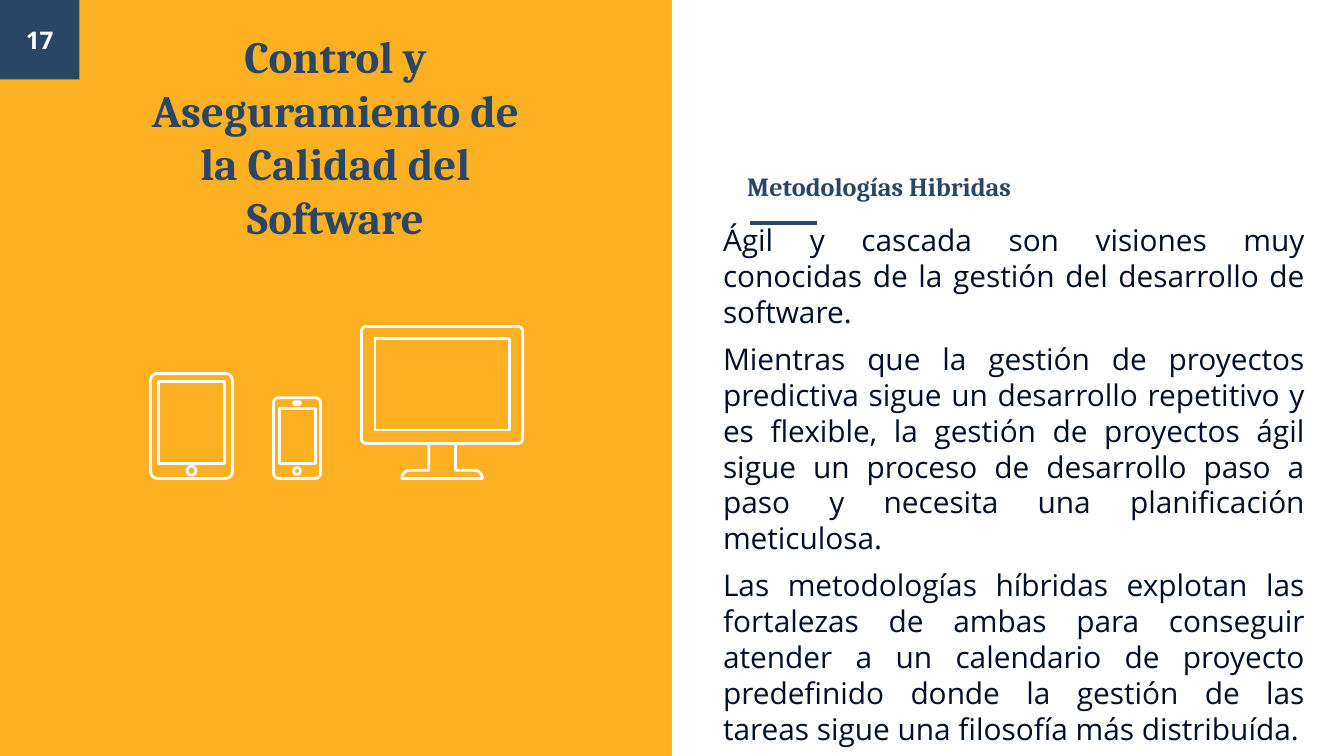
from math import cos, pi, sin

from lxml.etree import SubElement
from pptx import Presentation
from pptx.dml.color import RGBColor
from pptx.enum.shapes import MSO_CONNECTOR, MSO_SHAPE
from pptx.enum.text import MSO_ANCHOR, MSO_AUTO_SIZE, PP_ALIGN
from pptx.oxml.ns import qn
from pptx.util import Inches, Pt

HUES = {"base": "FFB424", "gold": "FDB021", "navy": "294667",
        "ink": "021028", "white": "FFFFFF"}
HEAD = "Control y Aseguramiento de la Calidad del Software"
TITLE = "Metodologías Hibridas"
BODY = [
    "Ágil y cascada son visiones muy conocidas de la gestión del desarrollo "
    "de software.",
    "Mientras que la gestión de proyectos predictiva sigue un desarrollo "
    "repetitivo y es flexible, la gestión de proyectos ágil sigue un proceso "
    "de desarrollo paso a paso y necesita una planificación meticulosa.",
    "Las metodologías híbridas explotan las fortalezas de ambas para conseguir "
    "atender a un calendario de proyecto predefinido donde la gestión de las "
    "tareas sigue una filosofía más distribuída.",
]


def hue(name):
    """Return a named colour."""
    return RGBColor.from_string(HUES[name])


def part(box, x, y, w, h):
    """Return the box at the given shares of another box."""
    left, top, wide, high = box
    return (int(left + x * wide), int(top + y * high),
            int(w * wide), int(h * high))


def style(para, size, face, tone, bold, align):
    """Set the font and alignment of a paragraph."""
    font = para.font
    font.size, font.name, font.bold = Pt(size), face, bold
    font.color.rgb = hue(tone)
    para.alignment = align


def frame(shape, anchor):
    """Set wrapping, margins and anchor, and return the text frame."""
    text = shape.text_frame
    text.word_wrap = True
    text.auto_size = MSO_AUTO_SIZE.NONE
    text.vertical_anchor = anchor
    text.margin_left = text.margin_right = Inches(0.1)
    text.margin_top = text.margin_bottom = Inches(0.1)
    return text


def place(shape, box):
    """Move a shape into a box."""
    shape.left, shape.top, shape.width, shape.height = box


def block(slide, box, tone):
    """Draw a plain filled rectangle."""
    shape = slide.shapes.add_shape(MSO_SHAPE.RECTANGLE, *box)
    shape.shadow.inherit = False
    shape.fill.solid()
    shape.fill.fore_color.rgb = hue(tone)
    shape.line.fill.background()
    return shape


def arc(x, y, r, start):
    """Return points of a clockwise quarter turn about a centre."""
    turns = [(start + step / 6) * pi / 2 for step in range(7)]
    return [(x + r * cos(turn), y + r * sin(turn)) for turn in turns]


def ring(x, y, w, h, r=0):
    """Return the outline of a rectangle with round corners."""
    mids = [(x + w - r, y + h - r), (x + r, y + h - r),
            (x + r, y + r), (x + w - r, y + r)]
    return [spot for turn, (a, b) in enumerate(mids)
            for spot in (arc(a, b, r, turn) if r else [(a, b)])]


def draw(group, box, loops, close=True):
    """Draw white outlines on a grid of 2770 columns."""
    first, *rest = loops
    pen = group.shapes.build_freeform(*first[0], scale=box[2] / 2770)
    pen.add_line_segments(first[1:], close=close)
    for loop in rest:
        pen.move_to(*loop[0])
        pen.add_line_segments(loop[1:], close=close)
    shape = pen.convert_to_shape(box[0], box[1])
    shape.shadow.inherit = False
    shape.fill.background()
    shape.line.color.rgb = hue("white")
    shape.line.width = Pt(1.5)


def icons(slide, box):
    """Draw the tablet, phone and screen."""
    group = slide.shapes.add_group_shape()
    draw(group, box, [ring(0, 350, 610, 780, 50), ring(60, 410, 490, 610),
                      ring(272, 1040, 66, 66, 33)])
    draw(group, box, [ring(915, 530, 350, 600, 40), ring(960, 610, 270, 410),
                      ring(1065, 560, 50, 20, 10), ring(1065, 1050, 50, 50, 25)])
    half = [(100, 880), (100, 1070), *arc(240, 1130, 60, 3), (290, 1130)]
    left = [(2170 - x, y) for x, y in half]
    right = [(2170 + x, y) for x, y in reversed(half)]
    draw(group, box, [left + right], close=False)
    draw(group, box, [ring(1570, 0, 1200, 870, 35), ring(1670, 90, 1000, 680)])


def cover(slide, box):
    """Build the gold side with its number, heading and icons."""
    block(slide, box, "base")
    block(slide, part(box, 0, 0.1, 0.998, 0.9), "gold")
    block(slide, part(box, 0.118, 0, 0.878, 0.126), "gold")
    badge = block(slide, part(box, 0, 0, 0.118, 0.105), "navy")
    text = frame(badge, MSO_ANCHOR.MIDDLE)
    text.text = "17"
    style(text.paragraphs[0], 13, "Open Sans", "white", True, PP_ALIGN.CENTER)
    label = slide.shapes.add_textbox(*part(box, 0.18, 0, 0.638, 0.36))
    text = frame(label, MSO_ANCHOR.MIDDLE)
    text.text = HEAD
    style(text.paragraphs[0], 24, "Cambria", "navy", True, PP_ALIGN.CENTER)
    icons(slide, part(box, 0.224, 0.432, 0.554, 0.201))


def topic(slide, box):
    """Build the white side with its title, rule and body."""
    title, body = slide.shapes.title, slide.placeholders[1]
    place(title, part(box, 0.092, 0.135, 0.808, 0.15))
    text = frame(title, MSO_ANCHOR.BOTTOM)
    text.text = TITLE
    style(text.paragraphs[0], 14, "Cambria", "navy", True, PP_ALIGN.LEFT)

    place(body, part(box, 0.032, 0.276, 0.93, 0.708))
    text = frame(body, MSO_ANCHOR.TOP)
    text.text = "\n".join(BODY)
    for rank, para in enumerate(text.paragraphs):
        props = para._p.get_or_add_pPr()
        props.set("marL", str(Inches(0.12)))
        props.set("indent", "0")
        SubElement(props, qn("a:buNone"))
        para.line_spacing = 1.0
        para.space_before = Pt(6 if rank else 0)
        style(para, 16, "Open Sans", "ink", False, PP_ALIGN.JUSTIFY)

    x, y, w, _ = part(box, 0.116, 0.295, 0.1, 0)
    rule = slide.shapes.add_connector(MSO_CONNECTOR.STRAIGHT, x, y, x + w, y)
    rule.line.color.rgb = hue("navy")
    rule.line.width = Pt(2.25)
    SubElement(rule._element.spPr, qn("a:effectLst"))


def main():
    """Build and save the slide."""
    deck = Presentation()
    deck.slide_width, deck.slide_height = Inches(10), Pt(405)
    slide = deck.slides.add_slide(deck.slide_layouts[1])
    page = (0, 0, deck.slide_width, deck.slide_height)
    cover(slide, part(page, 0, 0, 0.5, 1))
    topic(slide, part(page, 0.5, 0, 0.5, 1))
    deck.save("out.pptx")


if __name__ == "__main__":
    main()
